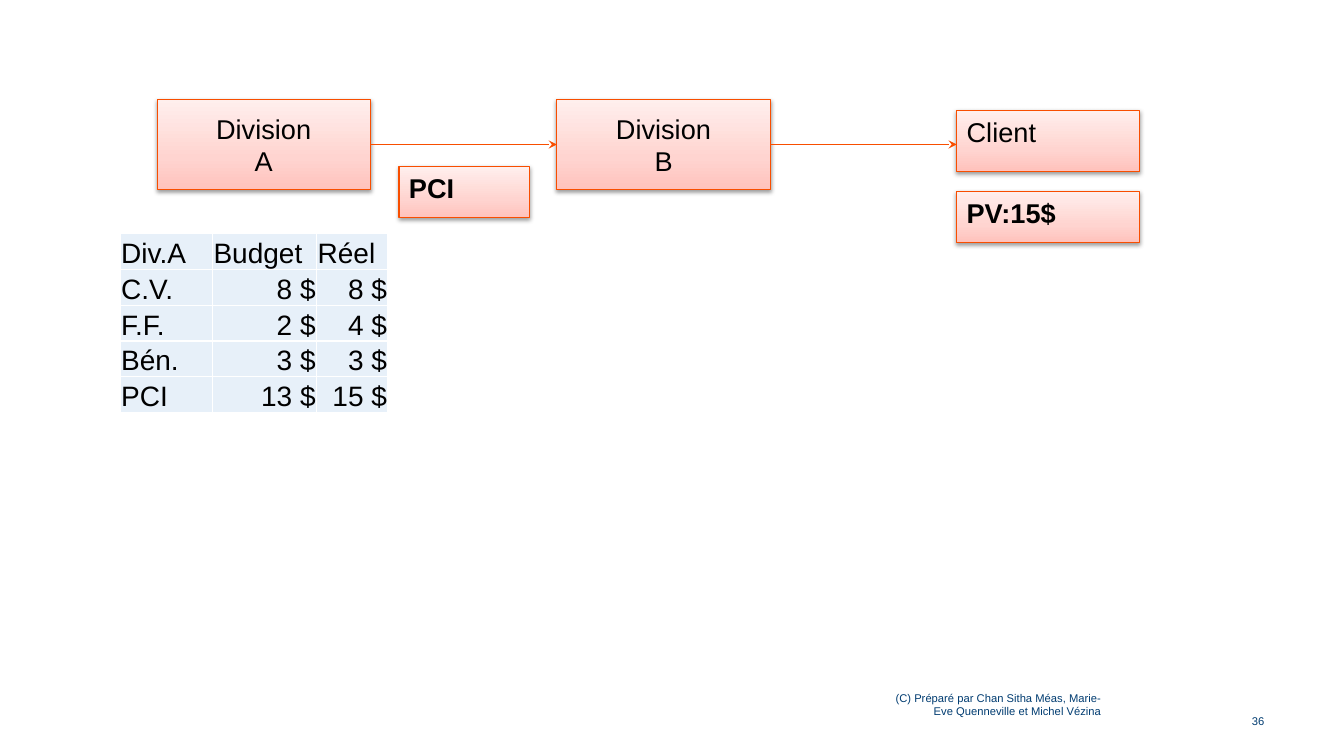
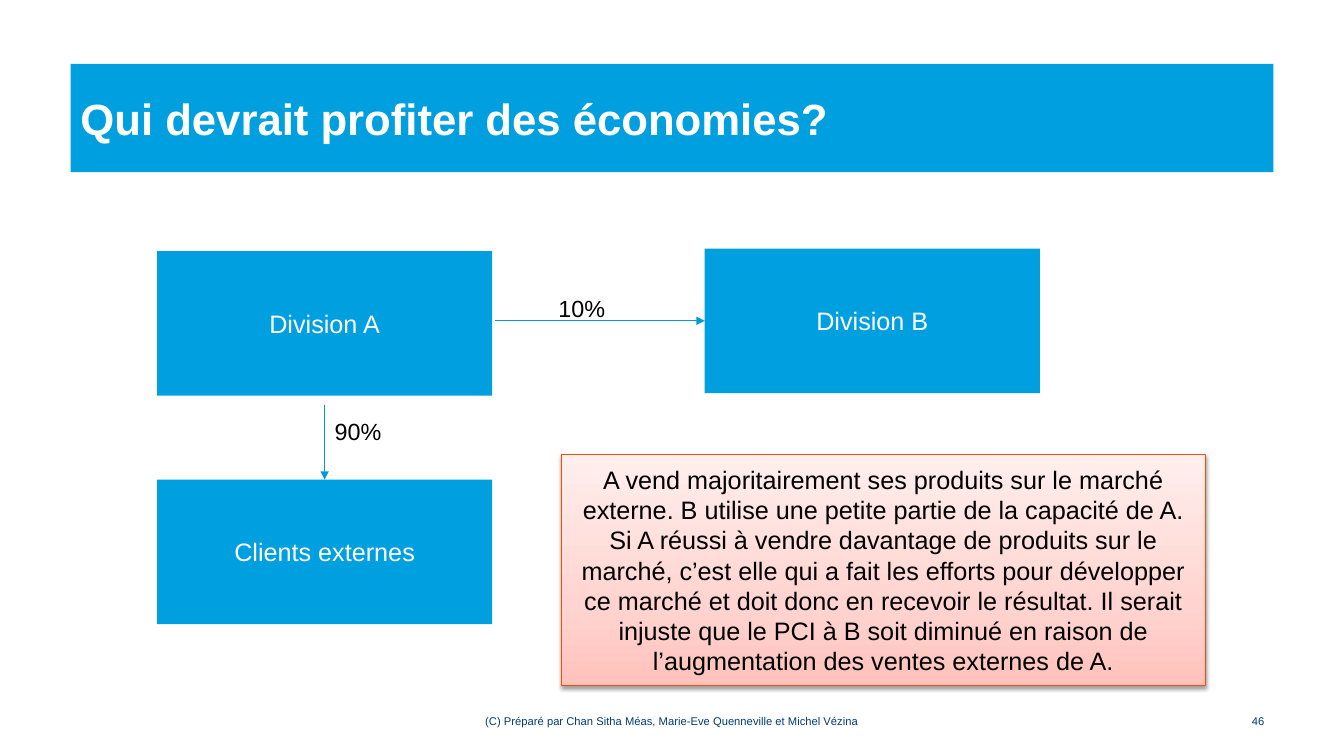
from copy import deepcopy

from lxml import etree
from pptx import Presentation
from pptx.dml.color import RGBColor
from pptx.enum.shapes import MSO_CONNECTOR, MSO_SHAPE
from pptx.enum.text import MSO_ANCHOR, PP_ALIGN
from pptx.oxml.ns import qn
from pptx.util import Inches, Pt

RECTANGLE = MSO_SHAPE.RECTANGLE
STRAIGHT = MSO_CONNECTOR.STRAIGHT
TOP, MIDDLE, BOTTOM = MSO_ANCHOR.TOP, MSO_ANCHOR.MIDDLE, MSO_ANCHOR.BOTTOM
LEFT, CENTER, RIGHT = PP_ALIGN.LEFT, PP_ALIGN.CENTER, PP_ALIGN.RIGHT
SIDE_TOP, SIDE_LEFT, SIDE_RIGHT = 0, 1, 3

BLACK = RGBColor(0x00, 0x00, 0x00)
WHITE = RGBColor(0xFF, 0xFF, 0xFF)
NAVY = RGBColor(0x00, 0x3C, 0x71)
BLUE = RGBColor(0x00, 0x9F, 0xDF)
ARROW_BLUE = RGBColor(0x00, 0x9B, 0xDA)
ORANGE = RGBColor(0xF8, 0x4E, 0x00)
CELL_BLUE = RGBColor(0xE7, 0xF0, 0xF9)
PINK_STOPS = [(0, RGBColor(0xFF, 0xC2, 0xBC)),
              (0.35, RGBColor(0xFF, 0xD4, 0xD0)),
              (1, RGBColor(0xFF, 0xEF, 0xED))]

FONT = "Arial"
COLUMNS, ROWS = 160, 90  # square grid, twelve cells to the inch
CELL = Inches(1) // 12
CREDIT = "(C) Préparé par Chan Sitha Méas, Marie-Eve Quenneville et Michel Vézina"


def grid(*cells):
    """Turn grid cells into lengths."""
    return [round(cell * CELL) for cell in cells]


class Deck:
    """Shared style and the current page."""

    def __init__(self):
        self.deck = Presentation()
        self.deck.slide_width, self.deck.slide_height = grid(COLUMNS, ROWS)
        self.page = None

    def new_page(self, number, credit_area, credit_align):
        self.page = self.deck.slides.add_slide(self.deck.slide_layouts[6])
        self.text(credit_area, CREDIT, 8, NAVY, credit_align, MIDDLE)
        self.text((143.5, 84.8, 8.2, 2.2), str(number), 8, NAVY, RIGHT, MIDDLE)

    def fill_frame(self, frame, text, size, color, align, anchor, bold=False):
        frame.word_wrap = True
        frame.vertical_anchor = anchor
        frame.text = text
        for para in frame.paragraphs:
            para.alignment = align
            para.font.name = FONT
            para.font.size = Pt(size)
            para.font.bold = bold
            para.font.color.rgb = color

    def text(self, area, text, size, color=BLACK, align=LEFT, anchor=TOP):
        box = self.page.shapes.add_textbox(*grid(*area))
        self.fill_frame(box.text_frame, text, size, color, align, anchor)

    def blue_box(self, area, text, size=18, align=CENTER, bold=False):
        box = self.page.shapes.add_shape(RECTANGLE, *grid(*area))
        box.shadow.inherit = False
        box.fill.solid()
        box.fill.fore_color.rgb = BLUE
        box.line.fill.background()
        self.fill_frame(box.text_frame, text, size, WHITE, align, MIDDLE, bold)
        return box

    def title(self, text):
        self.blue_box((8.4, 7.6, 143.2, 12.9), text, 31.2, LEFT, True)

    def pink_box(self, area, text, size=19.4, align=CENTER, anchor=MIDDLE, bold=False):
        box = self.page.shapes.add_shape(RECTANGLE, *grid(*area))
        box.line.color.rgb = ORANGE
        box.line.width = Pt(0.75)

        # Three-stop gradient, darkest at the bottom
        box.fill.gradient()
        box.fill.gradient_angle = 90
        properties = box._element.spPr
        stops = properties.find(qn("a:gradFill")).find(qn("a:gsLst"))
        stops.insert(1, deepcopy(stops[0]))
        for stop, (position, color) in zip(box.fill.gradient_stops, PINK_STOPS):
            stop.position = position
            stop.color.rgb = color

        # Soft shadow below
        box.shadow.inherit = False
        shadow = etree.SubElement(properties.find(qn("a:effectLst")), qn("a:outerShdw"),
                                  blurRad="40000", dist="20000", dir="5400000",
                                  rotWithShape="0")
        shade = etree.SubElement(shadow, qn("a:srgbClr"), val=str(BLACK))
        etree.SubElement(shade, qn("a:alpha"), val="38000")

        self.fill_frame(box.text_frame, text, size, BLACK, align, anchor, bold)
        return box

    def arrow(self, start, end, color, head, source=None, target=None):
        """Draw an arrow; source and target are (box, side) joints."""
        line = self.page.shapes.add_connector(STRAIGHT, *grid(*start, *end))
        if source:
            line.begin_connect(*source)
        if target:
            line.end_connect(*target)
        line.line.color.rgb = color
        line.line.width = Pt(0.75)
        properties = line._element.spPr
        etree.SubElement(properties.find(qn("a:ln")), qn("a:tailEnd"), type=head)
        etree.SubElement(properties, qn("a:effectLst"))

    def table(self, left, top, widths, row_height, rows):
        area = grid(left, top, sum(widths), row_height * len(rows))
        table = self.page.shapes.add_table(len(rows), len(widths), *area).table
        table.first_row = table.horz_banding = False
        for column, width in zip(table.columns, grid(*widths)):
            column.width = width
        for r, values in enumerate(rows):
            for c, value in enumerate(values):
                cell = table.cell(r, c)
                cell.fill.solid()
                cell.fill.fore_color.rgb = CELL_BLUE
                cell.margin_left = cell.margin_right = cell.margin_top = Inches(0.01)
                cell.margin_bottom = 0
                align = RIGHT if r and c else LEFT
                self.fill_frame(cell.text_frame, value, 20, BLACK, align, BOTTOM)
                cell.vertical_anchor = BOTTOM


def transfer_page(deck):
    deck.new_page(36, (105.2, 80.9, 27.1, 5.9), RIGHT)

    # Chain from division A to the client
    first, step, width, top, height = 18.7, 47.6, 25.4, 11.8, 10.8
    division_a, division_b = [
        deck.pink_box((first + i * step, top, width, height), f"Division\n{name}")
        for i, name in enumerate("AB")]
    client_left, middle = first + 2 * step, top + height / 2
    for area, label, bold in [((client_left, 13.1, 21.8, 7.3), "Client", False),
                              ((47.5, 19.8, 15.5, 6.1), "PCI", True),
                              ((client_left, 22.8, 21.8, 6.1), "PV:15$", True)]:
        deck.pink_box(area, label, align=LEFT, anchor=TOP, bold=bold)
    for i, (source, target) in enumerate([(division_a, (division_b, SIDE_LEFT)),
                                          (division_b, None)]):
        left = first + i * step
        deck.arrow((left + width, middle), (left + step, middle), ORANGE, "stealth",
                   (source, SIDE_RIGHT), target)

    # Budget and actual costs
    deck.table(14.3, 27.8, [11, 12.4, 8.5], 4.27, [
        ("Div.A", "Budget", "Réel"),
        ("C.V.", "8 $", "8 $"),
        ("F.F.", "2 $", "4 $"),
        ("Bén.", "3 $", "3 $"),
        ("PCI", "13 $", "15 $")])


def savings_page(deck):
    deck.new_page(46, (54.7, 84.8, 50.6, 2.2), CENTER)
    deck.title("Qui devrait profiter des économies?")

    # Divisions and external clients
    left, width, height = 18.7, 39.9, 17.2
    b_left, b_top, clients_top = 83.9, 29.6, 57.1
    deck.blue_box((left, 29.9, width, height), "Division A")
    division_b = deck.blue_box((b_left, b_top, width, height), "Division B")
    clients = deck.blue_box((left, clients_top, width, height), "Clients externes")

    # Shares of the sales
    center, middle = left + width / 2, b_top + height / 2
    deck.arrow((58.9, middle), (b_left, middle), ARROW_BLUE, "triangle",
               target=(division_b, SIDE_LEFT))
    deck.arrow((center, 48.2), (center, clients_top), ARROW_BLUE, "triangle",
               target=(clients, SIDE_TOP))
    deck.text((65.3, 34.4, 16.1, 7.3), "10%", 16.7)
    deck.text((center, 49.1, 21.5, 7.3), "90%", 16.7)

    # Answer
    deck.pink_box((66.8, 54.1, 76.7, 27.5),
                  "A vend majoritairement ses produits sur le marché externe. "
                  "B utilise une petite partie de la capacité de A. "
                  "Si A réussi à vendre davantage de produits sur le marché, "
                  "c’est elle qui a fait les efforts pour développer ce marché "
                  "et doit donc en recevoir le résultat. Il serait injuste que "
                  "le PCI à B soit diminué en raison de l’augmentation des "
                  "ventes externes de A.", 18)


def main():
    deck = Deck()
    transfer_page(deck)
    savings_page(deck)
    deck.deck.save("out.pptx")


if __name__ == "__main__":
    main()
